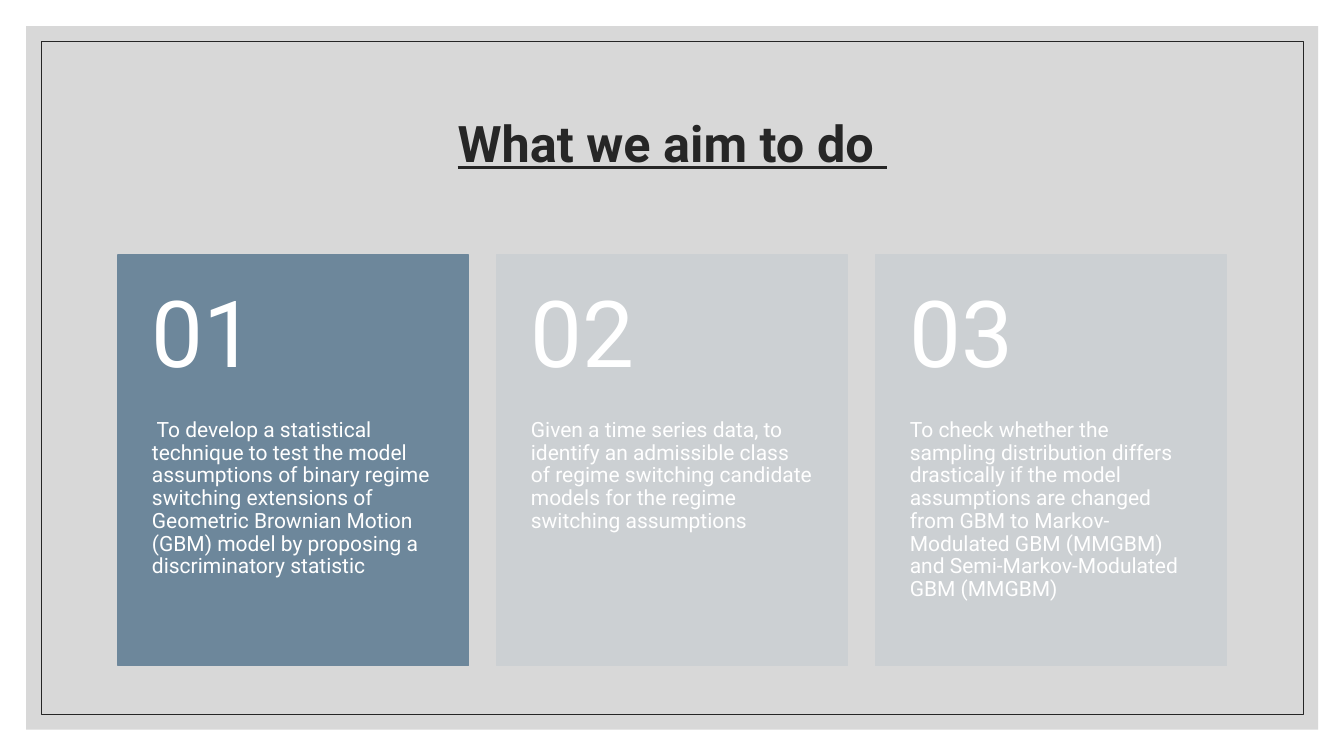
import dataclasses

import lxml.etree
import pptx
import pptx.dml.color
import pptx.enum.shapes
import pptx.enum.text
import pptx.oxml.ns
import pptx.util

Cm = pptx.util.Cm
Pt = pptx.util.Pt
ALIGN = pptx.enum.text.PP_ALIGN
ANCHOR = pptx.enum.text.MSO_ANCHOR

WHITE = "FFFFFF"
DARK = "262626"
BLUE = "6D879B"
PALE = "CCD0D3"


@dataclasses.dataclass
class Box:
    left: float
    top: float
    width: float
    height: float

    def place(self):
        return Cm(self.left), Cm(self.top), Cm(self.width), Cm(self.height)


@dataclasses.dataclass
class Card:
    number: str
    text: str
    fill: str


def paint(target, color: str) -> None:
    """Set a fill or a font to a solid colour."""
    if hasattr(target, "solid"):
        target.solid()
        target.fore_color.rgb = pptx.dml.color.RGBColor.from_string(color)
    else:
        target.color.rgb = pptx.dml.color.RGBColor.from_string(color)


def add_rect(slide, box: Box, fill: str = "", line: str = "",
             weight: float = 1, alpha: int = 100) -> None:
    rect = slide.shapes.add_shape(
        pptx.enum.shapes.MSO_SHAPE.RECTANGLE, *box.place())
    rect.shadow.inherit = False
    if fill:
        paint(rect.fill, fill)
    else:
        rect.fill.background()
    if line:
        paint(rect.line.fill, line)
        rect.line.width = Pt(weight)
    else:
        rect.line.fill.background()
    if alpha < 100:
        color = next(rect.element.spPr.iter(pptx.oxml.ns.qn("a:srgbClr")))
        lxml.etree.SubElement(color, pptx.oxml.ns.qn("a:alpha"),
                              val=str(alpha * 1000))


def add_text(slide, box: Box, text: str, *, size: float, color: str = WHITE,
             bold: bool = False, under: bool = False, align=ALIGN.LEFT,
             anchor=ANCHOR.TOP, side: float = 0.86, above: float = 0,
             below: float = 0) -> None:
    frame = slide.shapes.add_textbox(*box.place()).text_frame
    frame.word_wrap = True
    frame.vertical_anchor = anchor
    frame.margin_left = frame.margin_right = Cm(side)
    frame.margin_top, frame.margin_bottom = Cm(above), Cm(below)
    para = frame.paragraphs[0]
    para.alignment = align
    para.line_spacing = 0.9
    run = para.add_run()
    run.text = text
    run.font.name = "Roboto"
    run.font.size = Pt(size)
    run.font.bold = bold
    run.font.underline = under
    paint(run.font, color)


CARDS = [
    Card("01", " To develop a statistical technique to test the model "
         "assumptions of binary regime switching extensions of Geometric "
         "Brownian Motion (GBM) model by proposing a discriminatory "
         "statistic", BLUE),
    Card("02", "Given a time series data, to identify an admissible class "
         "of regime switching candidate models for the regime switching "
         "assumptions", PALE),
    Card("03", "To check whether the sampling distribution differs "
         "drastically if the model assumptions are changed from GBM to "
         "Markov-Modulated GBM (MMGBM) and Semi-Markov-Modulated GBM "
         "(MMGBM)", PALE),
]

# Card grid in centimetres
LEFT, TOP, WIDTH, HEIGHT = 2.97, 6.43, 8.84, 10.34
STEP = 9.55
HEAD = 4.14


def add_card(slide, card: Card, left: float) -> None:
    add_rect(slide, Box(left, TOP, WIDTH, HEIGHT), card.fill, card.fill)
    add_text(slide, Box(left, TOP + HEAD, WIDTH, HEIGHT - HEAD), card.text,
             size=15, below=0.91)
    add_text(slide, Box(left, TOP, WIDTH, HEAD), card.number, size=66,
             anchor=ANCHOR.MIDDLE, above=0.46, below=0.46)


def main() -> None:
    deck = pptx.Presentation()
    deck.slide_width, deck.slide_height = Cm(33.87), Cm(19.05)
    slide = deck.slides.add_slide(deck.slide_layouts[6])

    # Backdrop and frame
    add_rect(slide, Box(0.66, 0.66, 32.56, 17.73), "BFBFBF", alpha=60)
    add_rect(slide, Box(1.04, 1.04, 31.8, 16.97), line=DARK, weight=0.5)

    # Title
    add_text(slide, Box(LEFT, 1.78, 27.94, 3.81), "What we aim to do ",
             size=36, color=DARK, bold=True, under=True, align=ALIGN.CENTER,
             anchor=ANCHOR.MIDDLE, side=0.25, above=0.13, below=0.13)

    # Numbered cards
    for index, card in enumerate(CARDS):
        add_card(slide, card, LEFT + index * STEP)

    deck.save("out.pptx")


if __name__ == "__main__":
    main()
